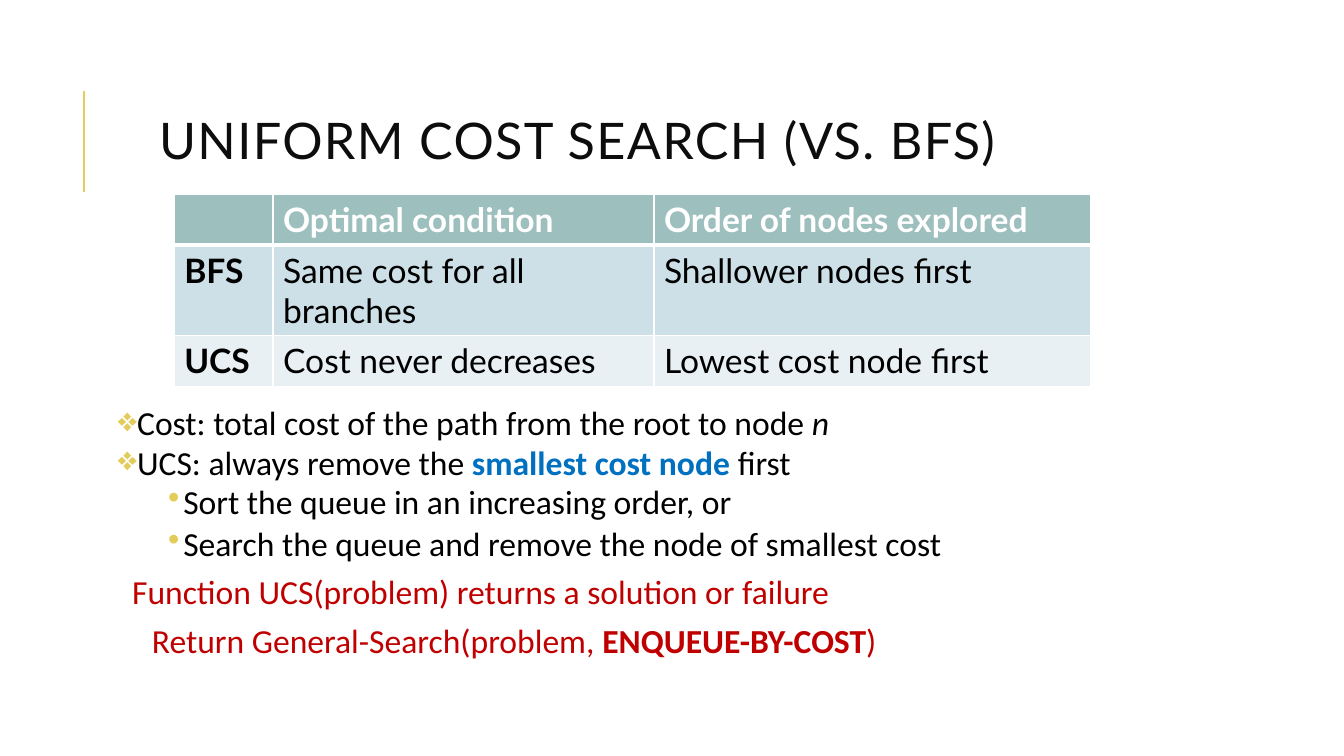
from lxml import etree
from pptx import Presentation
from pptx import util as u
from pptx.dml.color import RGBColor
from pptx.enum import shapes, text
from pptx.oxml import ns

ACCENT, BLACK, BLUE, RED, WHITE = "E3CC5A", "000000", "0070C0", "C00000", "FFFFFF"

TABLE_ROWS = [
    ("", "Optimal condition", "Order of nodes explored"),
    ("BFS", "Same cost for all branches", "Shallower nodes first"),
    ("UCS", "Cost never decreases", "Lowest cost node first"),
]
ROW_FILLS = ["9DBFBE", "CDE0E8", "E8F0F4"]
ROW_HEIGHTS = [1.27, 2.29, 1.27]
COLUMN_WIDTHS = [2.49, 9.6, 11]

STYLES = {
    "point": dict(left=0.25, hanging=0.25, before=0, after=2, bullet="❖", color=BLACK),
    "step": dict(left=1.65, hanging=0.38, before=0, after=4, bullet="•", color=BLACK),
    "function": dict(left=0.74, hanging=0.38, before=4.8, after=4, bullet=None, color=RED),
    "return": dict(left=1.24, hanging=0.38, before=4.8, after=4, bullet=None, color=RED),
}
BODY = [
    ("point", [("Cost: total cost of the path from the root to node ", {}),
               ("n", {"italic": True})]),
    ("point", [("UCS: always remove the ", {}),
               ("smallest cost node ", {"bold": True, "color": BLUE}),
               ("first", {})]),
    ("step", [("Sort the queue in an increasing order, or", {})]),
    ("step", [("Search the queue and remove the node of smallest cost", {})]),
    ("function", [("Function UCS(problem) returns a solution or failure", {})]),
    ("return", [("Return General-Search(problem, ", {}),
                ("ENQUEUE-BY-COST", {"bold": True}),
                (")", {})]),
]


def rgb(value):
    """Turn a hex string into a colour."""
    return RGBColor.from_string(value)


def set_font(font, name=None, size=None, color=None, bold=None, italic=None):
    """Apply the given font settings."""
    if name:
        font.name = name
    if size:
        font.size = u.Pt(size)
    if color:
        font.color.rgb = rgb(color)
    font.bold, font.italic = bold, italic


def add_child(parent, tag, **attributes):
    """Append a DrawingML element."""
    return etree.SubElement(parent, ns.qn(tag), **attributes)


def add_rule(slide, left, top, height):
    """Draw the vertical accent line beside the title."""
    rule = slide.shapes.add_connector(
        shapes.MSO_CONNECTOR.STRAIGHT, u.Cm(left), u.Cm(top + height), u.Cm(left), u.Cm(top))
    rule.line.color.rgb = rgb(ACCENT)
    rule.line.width = u.Pt(1.5)
    add_child(rule._element.spPr, "a:effectLst")


def add_title(slide, left, top, width, height):
    """Place the letter-spaced title, centred vertically."""
    frame = slide.shapes.add_textbox(*map(u.Cm, (left, top, width, height))).text_frame
    frame.word_wrap = True
    frame.vertical_anchor = text.MSO_ANCHOR.MIDDLE
    paragraph = frame.paragraphs[0]
    paragraph.line_spacing = 0.8
    paragraph.space_after = u.Pt(3)
    run = paragraph.add_run()
    run.text = "UNIFORM COST SEARCH (VS. BFS)"
    set_font(paragraph.font, "Lato", 36, "0D0D0D")
    run._r.get_or_add_rPr().set("spc", "100")


def add_borders(cell, **widths):
    """Give the cell white borders with the given widths in points."""
    properties = cell._tc.get_or_add_tcPr()
    for side in "LRTB":
        line = add_child(properties, f"a:ln{side}", w=str(u.Pt(widths.get(side, 1))))
        add_child(add_child(line, "a:solidFill"), "a:srgbClr", val=WHITE)


def add_comparison(slide, left, top):
    """Build the table comparing the two searches."""
    table = slide.shapes.add_table(
        len(TABLE_ROWS), len(COLUMN_WIDTHS), u.Cm(left), u.Cm(top),
        u.Cm(sum(COLUMN_WIDTHS)), u.Cm(sum(ROW_HEIGHTS))).table
    for column, width in zip(table.columns, COLUMN_WIDTHS):
        column.width = u.Cm(width)
    for i, (row, height, values) in enumerate(zip(table.rows, ROW_HEIGHTS, TABLE_ROWS)):
        row.height = u.Cm(height)
        for j, (cell, value) in enumerate(zip(row.cells, values)):
            add_borders(cell, **({"B": 3} if i == 0 else {"T": 3} if i == 1 else {}))
            cell.fill.solid()
            cell.fill.fore_color.rgb = rgb(ROW_FILLS[i])
            cell.text = value
            set_font(cell.text_frame.paragraphs[0].font, "Lato", 24,
                     WHITE if i == 0 else BLACK, bold=i == 0 or j == 0)


def format_paragraph(paragraph, left, hanging, before, after, bullet, color):
    """Set spacing, indent, bullet and font of a body paragraph."""
    paragraph.line_spacing = 0.9
    paragraph.space_before, paragraph.space_after = u.Pt(before), u.Pt(after)
    properties = paragraph._p.get_or_add_pPr()
    properties.set("marL", str(u.Cm(left)))
    properties.set("indent", str(-u.Cm(hanging)))
    if bullet:
        add_child(add_child(properties, "a:buClr"), "a:srgbClr", val=ACCENT)
        add_child(properties, "a:buChar", char=bullet)
    else:
        add_child(properties, "a:buNone")
    set_font(paragraph.font, "Calibri", 24, color)


def add_body(slide, left, top, width, height):
    """Place the bullets and the pseudocode."""
    frame = slide.shapes.add_textbox(*map(u.Cm, (left, top, width, height))).text_frame
    frame.word_wrap = True
    frame.margin_left = frame.margin_right = u.Cm(0.13)
    for i, (style, runs) in enumerate(BODY):
        paragraph = frame.add_paragraph() if i else frame.paragraphs[0]
        format_paragraph(paragraph, **STYLES[style])
        for words, emphasis in runs:
            run = paragraph.add_run()
            run.text = words
            set_font(run.font, **emphasis)


def main():
    """Build and save the slide."""
    presentation = Presentation()
    presentation.slide_width, presentation.slide_height = u.Cm(33.87), u.Cm(19.05)
    slide = presentation.slides.add_slide(presentation.slide_layouts[6])
    add_rule(slide, 2.11, 2.29, 2.54)
    add_title(slide, 3.76, 1.57, 23.72, 4.17)
    add_body(slide, 2.84, 10.13, 26.19, 7.34)
    add_comparison(slide, 4.39, 4.9)
    presentation.save("out.pptx")


if __name__ == "__main__":
    main()
